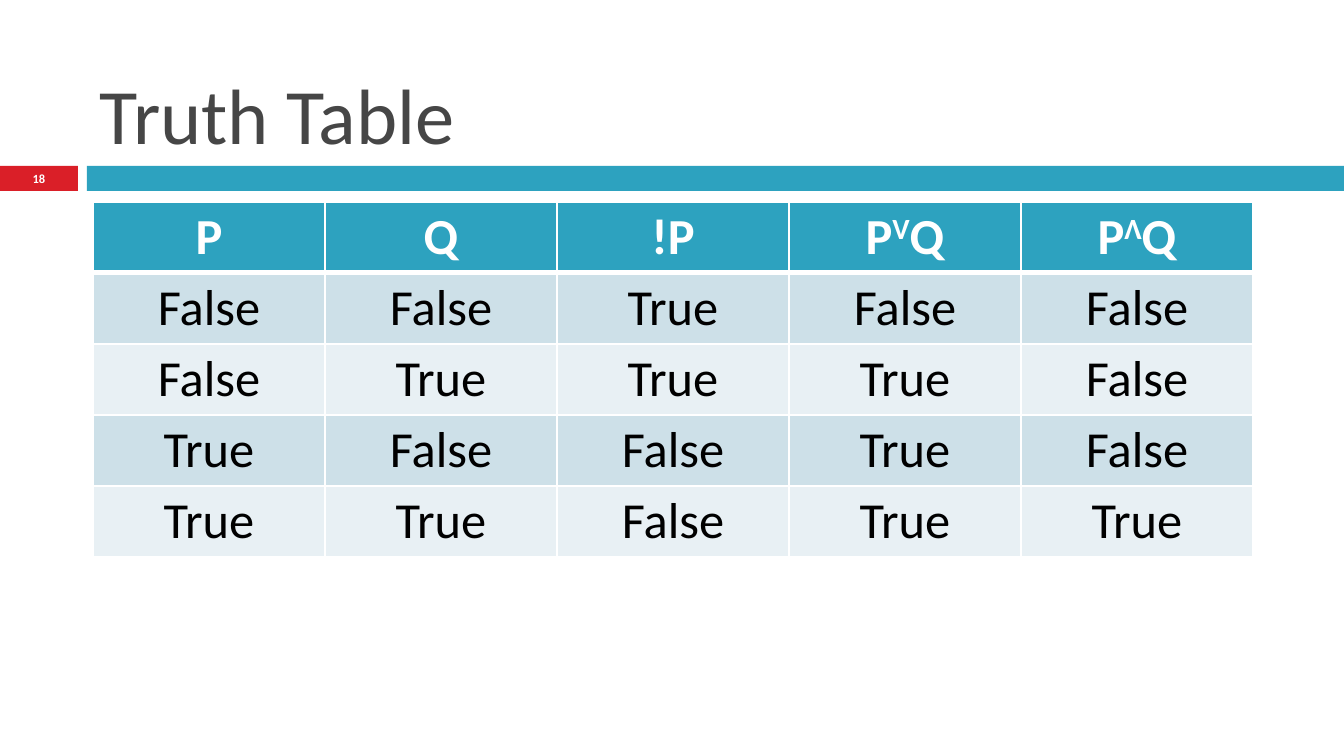
from dataclasses import dataclass
from itertools import product

from lxml.etree import SubElement
from pptx import Presentation
from pptx.dml.color import RGBColor
from pptx.enum.shapes import MSO_SHAPE
from pptx.enum.text import MSO_ANCHOR, PP_ALIGN
from pptx.oxml.ns import qn
from pptx.util import Emu, Pt

WHITE, BLACK, GRAY = "FFFFFF", "000000", "464646"
TEAL, RED = "2DA2BF", "DA1F28"
BANDS = ("CDE0E8", "E8F0F4")
COLS, ROWS = 5, 5


@dataclass
class Box:
    left: int
    top: int
    width: int
    height: int


@dataclass
class Run:
    text: str
    size: float
    color: str
    bold: bool = False
    raised: bool = False


@dataclass
class Bar:
    box: Box
    color: str


@dataclass
class Label:
    box: Box
    run: Run
    align: PP_ALIGN
    anchor: MSO_ANCHOR


def px(count: int) -> Emu:
    return Emu(round(count * 914400 / 134.4))


def place(box: Box) -> tuple:
    return px(box.left), px(box.top), px(box.width), px(box.height)


def paint(target, color: str) -> None:
    target.solid()
    target.fore_color.rgb = RGBColor.from_string(color)


def write(para, runs: list[Run], align: PP_ALIGN) -> None:
    para.alignment = align
    for item in runs:
        run = para.add_run()
        run.text = item.text
        run.font.name = "Calibri"
        run.font.size = Pt(item.size)
        run.font.bold = item.bold
        paint(run.font.fill, item.color)
        if item.raised:
            run._r.get_or_add_rPr().set("baseline", "30000")


def inset(target) -> None:
    target.margin_left = target.margin_right = px(10)
    target.margin_top = target.margin_bottom = px(5)


def draw_bar(slide, bar: Bar) -> None:
    shape = slide.shapes.add_shape(MSO_SHAPE.RECTANGLE, *place(bar.box))
    shape.shadow.inherit = False
    paint(shape.fill, bar.color)
    shape.line.fill.background()


def draw_label(slide, label: Label) -> None:
    frame = slide.shapes.add_textbox(*place(label.box)).text_frame
    frame.word_wrap = True
    frame.vertical_anchor = label.anchor
    inset(frame)
    write(frame.paragraphs[0], [label.run], label.align)


def edge(cell, side: str, width: float) -> None:
    line = SubElement(cell._tc.get_or_add_tcPr(), qn(f"a:ln{side}"), w=str(Pt(width)))
    fill = SubElement(line, qn("a:solidFill"))
    SubElement(fill, qn("a:srgbClr"), val=WHITE)


def draw_cell(cell, row: int, runs: list[Run]) -> None:
    inset(cell)
    widths = {"L": 1, "R": 1, "T": 3 if row == 1 else 1, "B": 3 if row == 0 else 1}
    for side, width in widths.items():
        edge(cell, side, width)
    paint(cell.fill, BANDS[(row - 1) % 2] if row else TEAL)
    write(cell.text_frame.paragraphs[0], runs, PP_ALIGN.CENTER)


def head(text: str) -> list[Run]:
    return [Run(char, 27, WHITE, True, char in "VΛ") for char in text]


def truth() -> list[list[list[Run]]]:
    rows = [[head(text) for text in ("P", "Q", "!P", "PVQ", "PΛQ")]]
    for p, q in product((False, True), repeat=2):
        values = (p, q, not p, p or q, p and q)
        rows.append([[Run(str(value), 27, BLACK)] for value in values])
    return rows


def draw_table(slide, box: Box) -> None:
    table = slide.shapes.add_table(ROWS, COLS, *place(box)).table
    table.first_row = table.horz_banding = False
    for col in table.columns:
        col.width = px(box.width // COLS)
    for line in table.rows:
        line.height = px(box.height // ROWS)
    for row, cells in enumerate(truth()):
        for col, runs in enumerate(cells):
            draw_cell(table.cell(row, col), row, runs)


def main() -> None:
    deck = Presentation()
    deck.slide_width, deck.slide_height = px(1344), px(756)
    slide = deck.slides.add_slide(deck.slide_layouts[6])
    badge = Box(0, 166, 78, 25)
    for bar in (Bar(badge, RED), Bar(Box(87, 166, 1257, 25), TEAL)):
        draw_bar(slide, bar)
    title = Run("Truth Table", 42, GRAY)
    draw_label(slide, Label(Box(90, 17, 1199, 148), title, PP_ALIGN.LEFT, MSO_ANCHOR.BOTTOM))
    draw_table(slide, Box(93, 202, 1160, 355))
    page = Run("18", 6.7, WHITE, True)
    draw_label(slide, Label(badge, page, PP_ALIGN.CENTER, MSO_ANCHOR.MIDDLE))
    deck.save("out.pptx")


if __name__ == "__main__":
    main()
